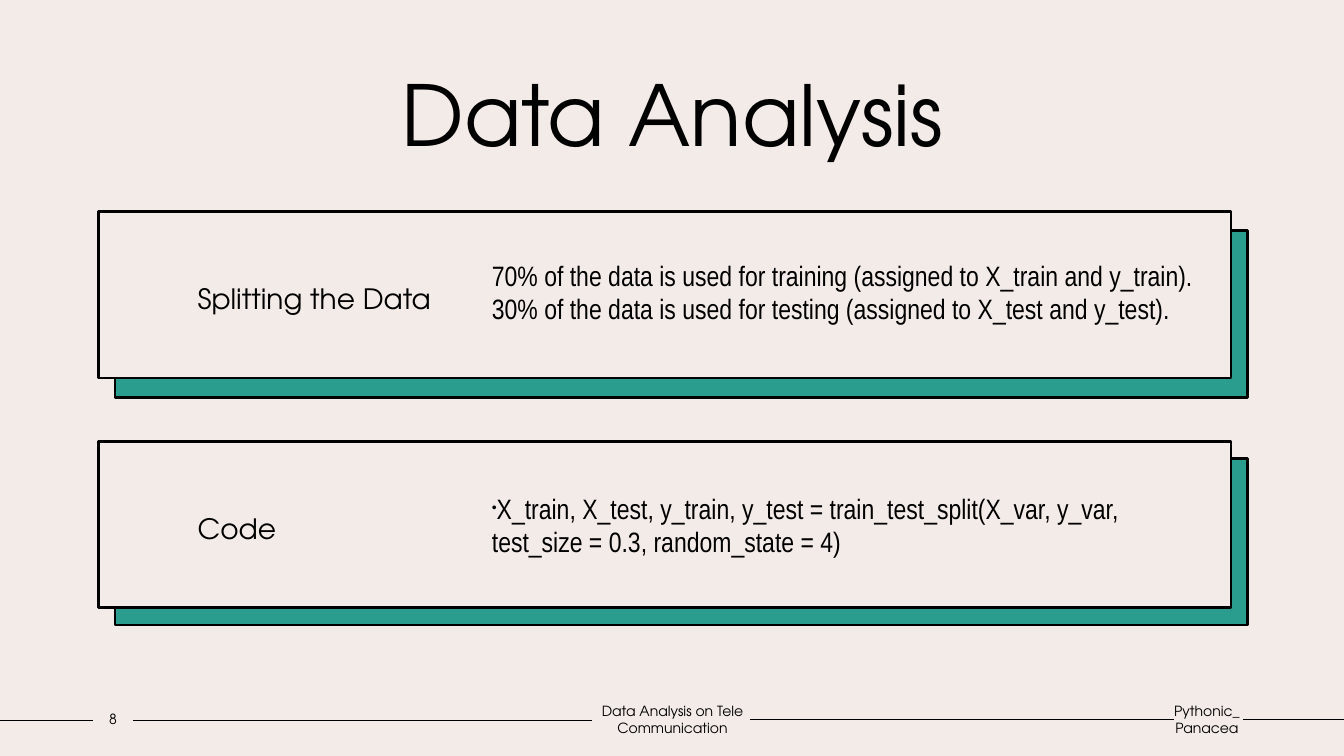
from dataclasses import dataclass

from lxml import etree
from pptx import Presentation
from pptx import util as u
from pptx.dml.color import RGBColor
from pptx.enum import shapes, text
from pptx.oxml import ns
from pptx.shapes.autoshape import Shape
from pptx.slide import Slide
from pptx.text.text import _Paragraph as Paragraph

EMU_PER_PX = 9144
BLACK = RGBColor(0x00, 0x00, 0x00)
CREAM = RGBColor(0xF3, 0xEB, 0xE8)
TEAL = RGBColor(0x2A, 0x9D, 0x8F)
HEADING_FONT = "TeX Gyre Adventor"
BODY_FONT = "Arial Narrow"
CARD_LEFT, CARD_WIDTH, CARD_HEIGHT = 98, 1123, 165
BACKING_LEFT = 114
DETAIL_LEFT, DETAIL_HEIGHT = 478, 145


@dataclass(frozen=True)
class Box:
    left: int
    top: int
    width: int
    height: int


@dataclass(frozen=True)
class Card:
    heading: str
    details: tuple[str, ...]
    top: int
    backing_top: int
    detail_top: int
    detail_width: int
    bulleted: bool = False


@dataclass(frozen=True)
class FooterLine:
    start: int
    end: int
    y: int


@dataclass(frozen=True)
class FooterLabel:
    wording: str
    left: int
    width: int


CARDS = (
    Card(
        "Splitting the Data",
        (
            "70% of the data is used for training (assigned to X_train and y_train).",
            "30% of the data is used for testing (assigned to X_test and y_test).",
        ),
        top=210, backing_top=229, detail_top=217, detail_width=762,
    ),
    Card(
        "Code",
        (
            "X_train, X_test, y_train, y_test = train_test_split(X_var, y_var, "
            "test_size = 0.3, random_state = 4)",
        ),
        top=438, backing_top=455, detail_top=448, detail_width=701, bulleted=True,
    ),
)
FOOTER_LINES = (
    FooterLine(0, 92, 715),
    FooterLine(132, 587, 715),
    FooterLine(744, 1164, 714),
    FooterLine(1233, 1333, 714),
)
FOOTER_LABELS = (
    FooterLabel("8", 92, 40),
    FooterLabel("Data Analysis on Tele Communication", 587, 160),
    FooterLabel("Pythonic_Panacea", 1162, 70),
)


def px(length: int) -> u.Emu:
    return u.Emu(length * EMU_PER_PX)


def emu_box(box: Box) -> tuple[u.Emu, ...]:
    return px(box.left), px(box.top), px(box.width), px(box.height)


def add_text_box(slide: Slide, box: Box) -> Shape:
    return slide.shapes.add_textbox(*emu_box(box))


def add_rectangle(slide: Slide, box: Box, fill: RGBColor) -> Shape:
    shape = slide.shapes.add_shape(shapes.MSO_SHAPE.RECTANGLE, *emu_box(box))
    shape.shadow.inherit = False
    shape.fill.solid()
    shape.fill.fore_color.rgb = fill
    shape.line.color.rgb = BLACK
    shape.line.width = u.Pt(2)
    return shape


def add_bullet(paragraph: Paragraph) -> None:
    properties = paragraph._p.get_or_add_pPr()
    properties.set("marL", "0")
    properties.set("indent", str(-px(15)))
    etree.SubElement(properties, ns.qn("a:buSzPct")).set("val", "50000")
    etree.SubElement(properties, ns.qn("a:buFont")).set("typeface", "Arial")
    etree.SubElement(properties, ns.qn("a:buChar")).set("char", "•")


def write_text(
    shape: Shape,
    *lines: str,
    size: int,
    font: str = HEADING_FONT,
    align: text.PP_ALIGN = text.PP_ALIGN.LEFT,
    left_inset: int = 10,
    right_inset: int = 10,
    line_spacing: float = 1.0,
    bulleted: bool = False,
) -> None:
    frame = shape.text_frame
    frame.word_wrap = True
    frame.vertical_anchor = text.MSO_ANCHOR.MIDDLE
    frame.margin_left, frame.margin_right = px(left_inset), px(right_inset)
    frame.margin_top = frame.margin_bottom = px(5)
    for index, line in enumerate(lines):
        paragraph = frame.add_paragraph() if index else frame.paragraphs[0]
        paragraph.alignment = align
        paragraph.line_spacing = line_spacing
        if bulleted:
            add_bullet(paragraph)
        run = paragraph.add_run()
        run.text = line
        run.font.name = font
        run.font.size = u.Pt(size)
        run.font.color.rgb = BLACK


def draw_card(slide: Slide, card: Card) -> None:
    add_rectangle(slide, Box(BACKING_LEFT, card.backing_top, CARD_WIDTH, CARD_HEIGHT), TEAL)
    front = add_rectangle(slide, Box(CARD_LEFT, card.top, CARD_WIDTH, CARD_HEIGHT), CREAM)
    write_text(front, card.heading, size=20, left_inset=98, right_inset=710, line_spacing=1.2)
    detail = add_text_box(
        slide, Box(DETAIL_LEFT, card.detail_top, card.detail_width, DETAIL_HEIGHT)
    )
    write_text(detail, *card.details, size=20, font=BODY_FONT, bulleted=card.bulleted)


def draw_footer_line(slide: Slide, line: FooterLine) -> None:
    connector = slide.shapes.add_connector(
        shapes.MSO_CONNECTOR.STRAIGHT, px(line.start), px(line.y), px(line.end), px(line.y)
    )
    connector.line.color.rgb = BLACK
    connector.line.width = u.Pt(1)
    etree.SubElement(connector._element.spPr, ns.qn("a:effectLst"))


def draw_footer_label(slide: Slide, label: FooterLabel) -> None:
    box = add_text_box(slide, Box(label.left, 700, label.width, 27))
    write_text(
        box, label.wording, size=10, align=text.PP_ALIGN.CENTER, left_inset=0, right_inset=0
    )


def main() -> None:
    presentation = Presentation()
    presentation.slide_width, presentation.slide_height = px(1333), px(750)
    slide = presentation.slides.add_slide(presentation.slide_layouts[6])
    slide.background.fill.solid()
    slide.background.fill.fore_color.rgb = CREAM

    for line in FOOTER_LINES:
        draw_footer_line(slide, line)
    title = add_text_box(slide, Box(125, 56, 1084, 111))
    write_text(title, "Data Analysis", size=60, align=text.PP_ALIGN.CENTER)
    for card in CARDS:
        draw_card(slide, card)
    for label in FOOTER_LABELS:
        draw_footer_label(slide, label)

    presentation.save("out.pptx")


if __name__ == "__main__":
    main()
